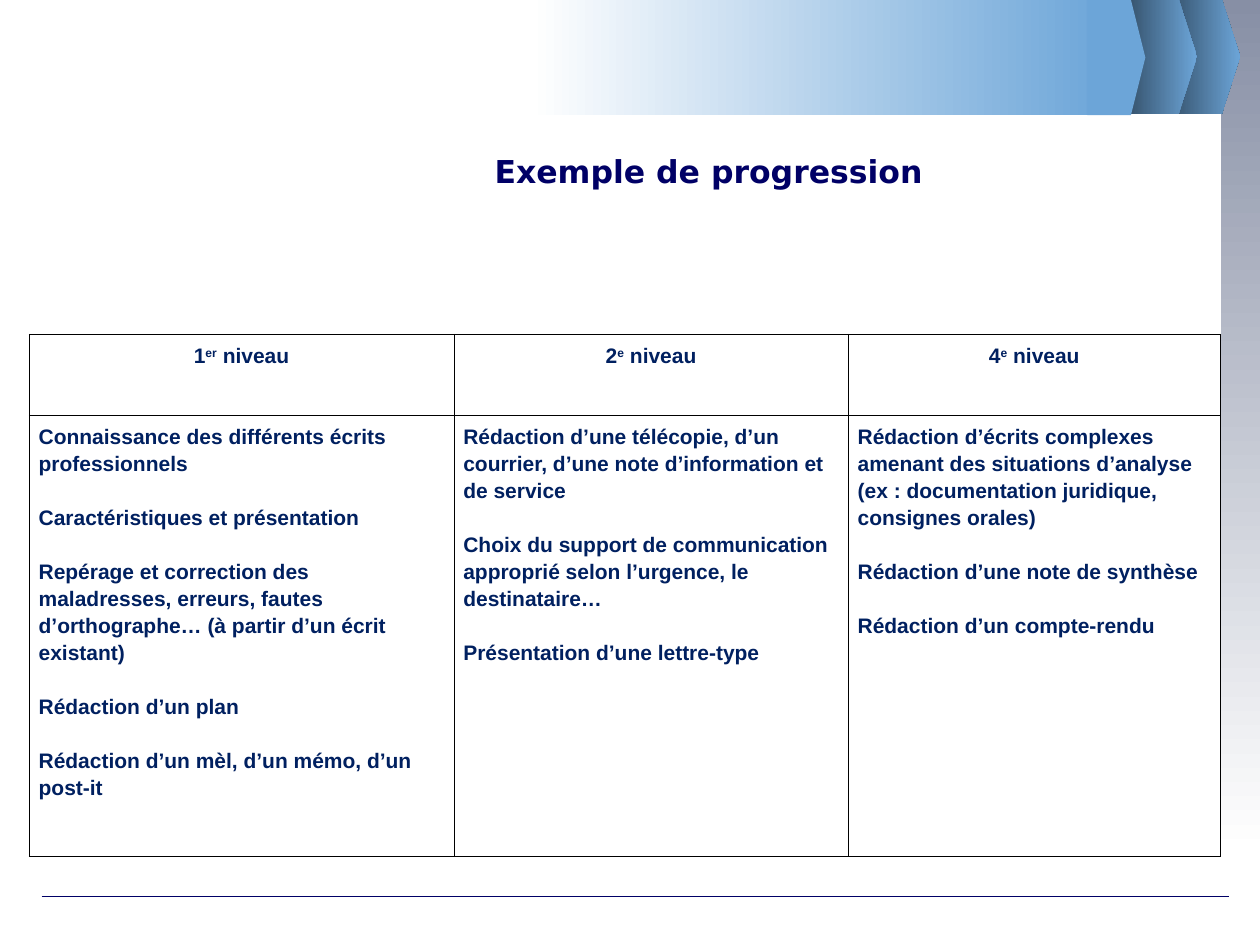
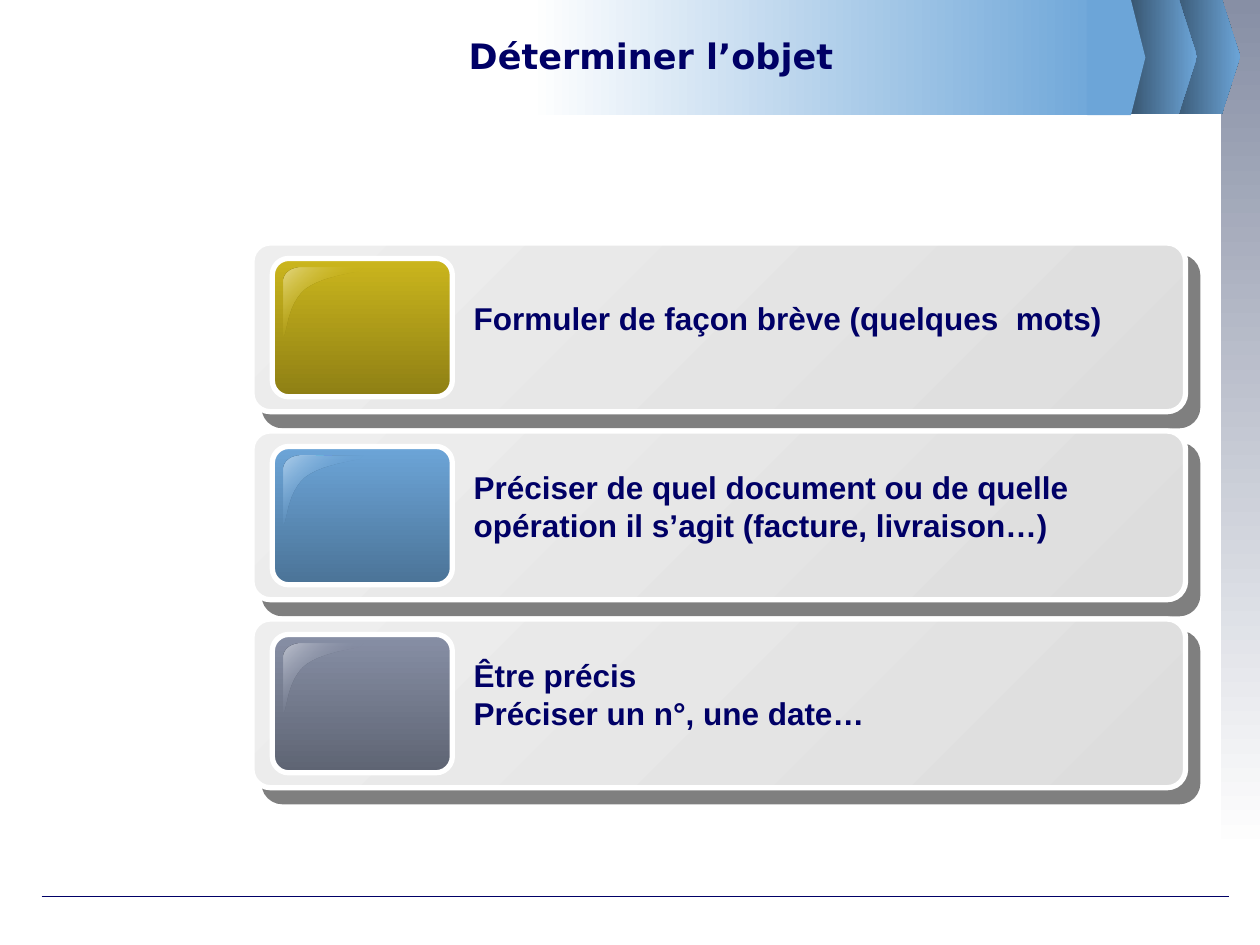
from dataclasses import dataclass

from lxml.etree import SubElement
from pptx import Presentation
from pptx.dml.color import RGBColor
from pptx.enum.shapes import MSO_CONNECTOR as Connector, MSO_SHAPE as Shape
from pptx.enum.text import MSO_ANCHOR as Anchor, MSO_AUTO_SIZE as AutoSize, PP_ALIGN as Align
from pptx.oxml.ns import qn
from pptx.util import Cm, Pt


@dataclass(frozen=True)
class Theme:
    """Colours, fonts and type sizes of the deck."""
    navy: str = "000066"
    table_ink: str = "002060"
    black: str = "000000"
    white: str = "FFFFFF"
    sky: str = "6CA5D8"
    deep_sky: str = "324C64"
    slate: str = "878FA5"
    card_light: str = "EEEEEE"
    card_dark: str = "DDDDDD"
    title_font: str = "DejaVu Sans"
    body_font: str = "Arial"
    title_size: int = 20
    table_title_size: int = 18
    card_size: int = 18
    table_size: int = 12


THEME = Theme()

LEVELS = [
    ("1", "er", 8.56, [
        "Connaissance des différents écrits professionnels",
        "Caractéristiques et présentation",
        "Repérage et correction des maladresses, erreurs, fautes "
        "d’orthographe… (à partir d’un écrit existant)",
        "Rédaction d’un plan",
        "Rédaction d’un mèl, d’un mémo, d’un post-it",
    ]),
    ("2", "e", 7.95, [
        "Rédaction d’une télécopie, d’un courrier, d’une note d’information et de service",
        "Choix du support de communication approprié selon l’urgence, le destinataire…",
        "Présentation d’une lettre-type",
    ]),
    ("4", "e", 7.5, [
        "Rédaction d’écrits complexes amenant des situations d’analyse "
        "(ex : documentation juridique, consignes orales)",
        "Rédaction d’une note de synthèse",
        "Rédaction d’un compte-rendu",
    ]),
]

CARDS = [
    (("CBB61D", "8E7F14", "E3D784"), 14.33, 1.02, ["Formuler de façon brève (quelques  mots)"]),
    ((THEME.sky, "4B7397", "AFCEEA"), 13.79, 1.78,
     ["Préciser de quel document ou de quelle opération il s’agit (facture, livraison…)"]),
    ((THEME.slate, "5E6473", "BEC2CE"), 15.6, 1.78, ["Être précis", "Préciser un n°, une date…"]),
]


def rgb(code):
    """Return the colour for a hex code."""
    return RGBColor.from_string(code)


def paint(shape, start, end=None, angle=0, outline=None):
    """Fill a shape plainly or with a gradient, with an optional 3 pt outline."""
    shape.shadow.inherit = False
    if end:
        shape.fill.gradient()
        shape.fill.gradient_angle = (360 - angle) % 360
        for stop, code in zip(shape.fill.gradient_stops, (start, end)):
            stop.color.rgb = rgb(code)
    else:
        shape.fill.solid()
        shape.fill.fore_color.rgb = rgb(start)
    if outline:
        shape.line.color.rgb = rgb(outline)
        shape.line.width = Pt(3)
    else:
        shape.line.fill.background()


def add_block(page, kind, left, top, width, height, corner=None):
    """Add a preset shape measured in centimetres."""
    block = page.shapes.add_shape(kind, Cm(left), Cm(top), Cm(width), Cm(height))
    if corner:
        block.adjustments[0] = corner
    return block


def add_outline(page, points):
    """Add a closed freeform through points in centimetres."""
    first, *others = [(Cm(x), Cm(y)) for x, y in points]
    builder = page.shapes.build_freeform(*first)
    builder.add_line_segments(others, close=True)
    return builder.convert_to_shape()


def bend(shape, starts):
    """Turn each three line segments from the given indexes into one cubic curve."""
    segments = list(shape._element.iter(qn("a:lnTo")))
    for start in starts:
        first, *pulls = segments[start:start + 3]
        first.tag = qn("a:cubicBezTo")
        for segment in pulls:
            first.append(segment[0])
            segment.getparent().remove(segment)


def add_chevron(page, left, top, shoulder, tip):
    """Add a flat-backed arrow of the header band."""
    height = 2.32
    right = left + shoulder
    return add_outline(page, [(left, top), (right, top), (left + tip, top + height / 2),
                              (right, top + height), (left, top + height)])


def style(para, font, size, color, align=Align.LEFT):
    """Set the bold type of a paragraph."""
    para.alignment = align
    para.font.name = font
    para.font.size = Pt(size)
    para.font.bold = True
    para.font.color.rgb = rgb(color)


def draw_frame(page):
    """Draw the header band, side strip and footer line."""
    paint(add_block(page, Shape.RECTANGLE, 24.61, 0, 0.79, 17.2), THEME.slate, THEME.white, 90)
    footer = page.shapes.add_connector(Connector.STRAIGHT, Cm(0.84), Cm(18.08), Cm(24.77), Cm(18.08))
    footer.line.color.rgb = rgb(THEME.navy)
    footer.line.width = Pt(0.75)
    SubElement(footer._element.spPr, qn("a:effectLst"))
    for left in (23.5, 22.63):
        paint(add_chevron(page, left, -0.02, 1.13, 1.5), THEME.deep_sky, THEME.sky)
    paint(add_block(page, Shape.RECTANGLE, 10.69, 0, 11.68, 2.32), THEME.white, THEME.sky)
    paint(add_chevron(page, 21.92, 0, 0.88, 1.17), THEME.sky)


def share_frame(page):
    """Draw the frame and move it to the layout that all pages use."""
    layout = page.slide_layout
    for holder in list(layout.placeholders):
        if holder.placeholder_format.idx:
            holder._element.getparent().remove(holder._element)
    draw_frame(page)
    for shape in list(page.shapes):
        if not shape.is_placeholder:
            layout.shapes._spTree.append(shape._element)


def set_title(page, text, left, top, width, height, size):
    """Place and write the page title."""
    title = page.shapes.title
    title.left, title.top, title.width, title.height = Cm(left), Cm(top), Cm(width), Cm(height)
    title.text_frame.text = text
    title.text_frame.vertical_anchor = Anchor.MIDDLE
    style(title.text_frame.paragraphs[0], THEME.title_font, size, THEME.navy, Align.CENTER)


def frame_cell(cell):
    """Give a cell thin black borders, a white fill and margins."""
    properties = cell._tc.get_or_add_tcPr()
    for side in "LRTB":
        border = SubElement(properties, qn(f"a:ln{side}"), w=str(Pt(0.45)))
        SubElement(SubElement(border, qn("a:solidFill")), qn("a:srgbClr"), val=THEME.black)
    cell.fill.solid()
    cell.fill.fore_color.rgb = rgb(THEME.white)
    cell.margin_left = cell.margin_right = Cm(0.19)
    cell.margin_top = cell.margin_bottom = Cm(0.13)


def style_cell_para(para, align=Align.LEFT):
    """Set the type and leading of a table paragraph."""
    para.line_spacing = 1.15
    style(para, THEME.body_font, THEME.table_size, THEME.table_ink, align)


def fill_heading(cell, number, suffix):
    """Write a level heading with its raised ordinal suffix."""
    para = cell.text_frame.paragraphs[0]
    for text in (number, suffix, " niveau"):
        span = para.add_run()
        span.text = text
        if text == suffix:
            span.font._element.set("baseline", "30000")
    style_cell_para(para, Align.CENTER)


def fill_skills(cell, skills):
    """Write the skills of a level, one line apart."""
    cell.text_frame.text = "\n".join(skills)
    for index, para in enumerate(cell.text_frame.paragraphs):
        style_cell_para(para)
        if index:
            para.space_before = Pt(15.4)


def add_levels_table(page):
    """Add the table of skills by level."""
    heights = (1.63, 8.89)
    width = sum(level[2] for level in LEVELS)
    table = page.shapes.add_table(2, len(LEVELS), Cm(0.59), Cm(6.74),
                                  Cm(width), Cm(sum(heights))).table
    table.first_row = table.horz_banding = False
    for row, height in zip(table.rows, heights):
        row.height = Cm(height)
    for index, (number, suffix, column_width, skills) in enumerate(LEVELS):
        table.columns[index].width = Cm(column_width)
        fill_heading(table.cell(0, index), number, suffix)
        fill_skills(table.cell(1, index), skills)
    for cell in table.iter_cells():
        frame_cell(cell)


def add_hard_shadow(shape):
    """Add an unblurred half-transparent shadow."""
    effects = shape._element.spPr.find(qn("a:effectLst"))
    shadow = SubElement(effects, qn("a:outerShdw"), dist=str(Pt(10.6)), dir=str(49 * 60000),
                        algn="ctr", rotWithShape="0")
    color = SubElement(shadow, qn("a:srgbClr"), val=THEME.black)
    SubElement(color, qn("a:alpha"), val="50000")


def add_gloss(page, left, top, light, base):
    """Add the corner highlight of a tile, fading out to its base colour."""
    local = [(0.36, 0), (0.15, 0), (0, 0.13), (0, 0.28), (0, 1.38),
             (0.08, 1.41), (0.05, 0.72), (0.48, 0.41), (0.94, 0.1), (1.83, 0.08), (1.8, 0)]
    gloss = add_outline(page, [(left + x, top + y) for x, y in local])
    bend(gloss, (0, 4, 7))
    paint(gloss, light, base, 45)
    gloss.fill.gradient_stops[1].position = 0.5
    *_, faded = gloss._element.spPr.iter(qn("a:srgbClr"))
    SubElement(faded, qn("a:alpha"), val="0")


def add_card_text(page, left, middle, width, height, lines):
    """Add the text of a card, centred on a height."""
    box = page.shapes.add_textbox(Cm(left), Cm(middle - height / 2), Cm(width), Cm(height))
    frame = box.text_frame
    frame.word_wrap = True
    frame.auto_size = AutoSize.SHAPE_TO_FIT_TEXT
    frame.text = "\n".join(lines)
    for para in frame.paragraphs:
        style(para, THEME.body_font, THEME.card_size, THEME.navy)


def add_card(page, top, colors, text_width, text_height, lines):
    """Add a grey card with a glossy tile and its text."""
    left = 5.08
    base, dark, light = colors
    card = add_block(page, Shape.ROUNDED_RECTANGLE, left, top, 18.82, 3.4, 0.109)
    paint(card, THEME.card_light, THEME.card_dark, 45, THEME.white)
    add_hard_shadow(card)
    tile = add_block(page, Shape.ROUNDED_RECTANGLE, left + 0.41, top + 0.31, 3.63, 2.79, 0.119)
    paint(tile, base, dark, 90, THEME.white)
    add_gloss(page, left + 0.63, top + 0.49, light, base)
    add_card_text(page, left + 4.22, top + 1.52, text_width, text_height, lines)


def main():
    """Build and save the deck."""
    deck = Presentation()
    deck.slide_width, deck.slide_height = Cm(25.4), Cm(19.05)
    layout = deck.slide_layouts[5]

    page = deck.slides.add_slide(layout)
    share_frame(page)
    set_title(page, "Exemple de progression", 5.52, 2.55, 17.53, 1.78, THEME.table_title_size)
    add_levels_table(page)

    page = deck.slides.add_slide(layout)
    set_title(page, "Déterminer l’objet", 3.18, 0.3, 19.89, 1.65, THEME.title_size)
    for index, card in enumerate(CARDS):
        add_card(page, 4.9 + 3.79 * index, *card)

    deck.save("out.pptx")


if __name__ == "__main__":
    main()
